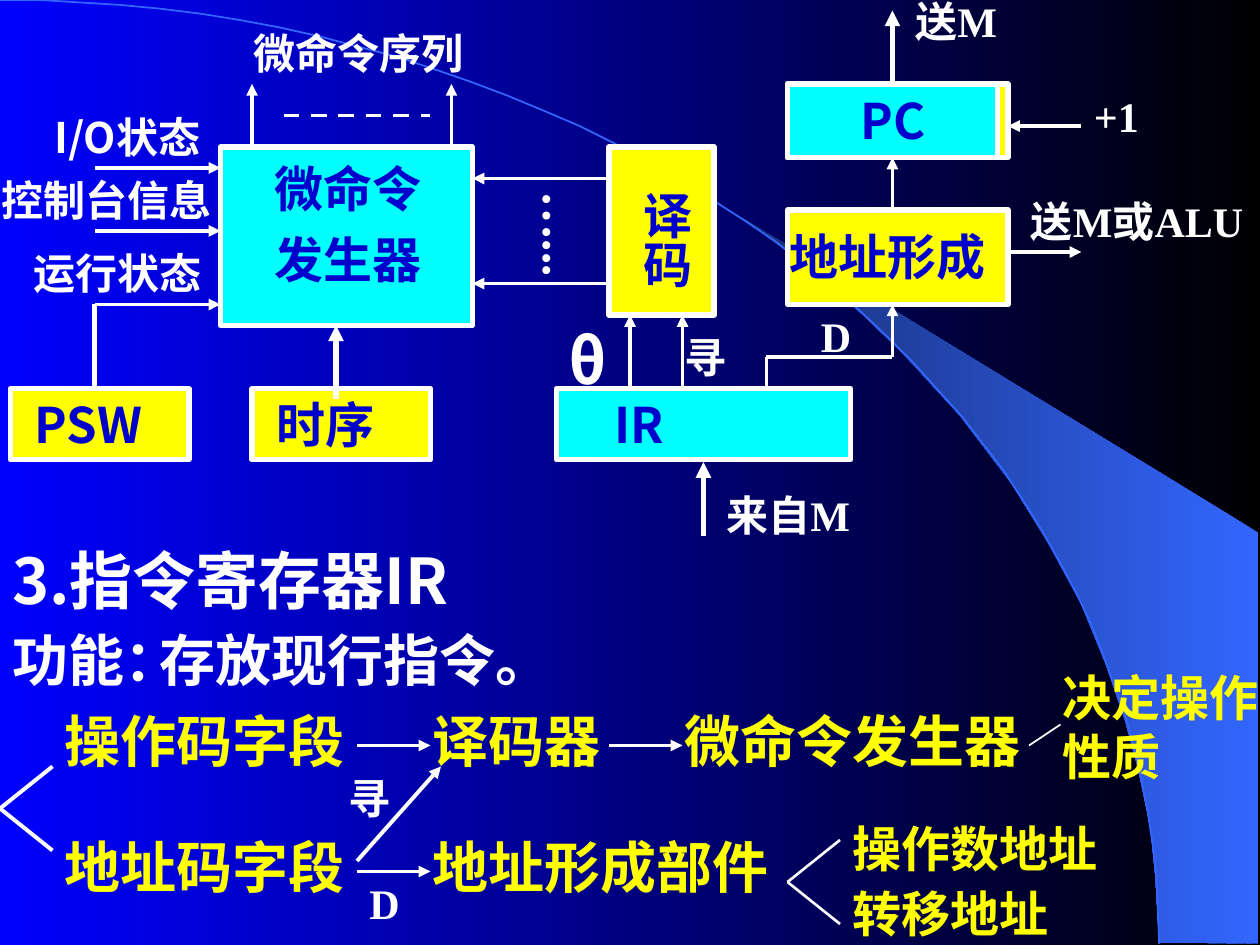
import math
from pptx import Presentation, util as u
from pptx.dml.color import RGBColor
from pptx.enum import dml, shapes, text
from pptx.oxml.ns import qn
from lxml import etree

WHITE = RGBColor(0xFF, 0xFF, 0xFF)
BLACK = RGBColor(0x00, 0x00, 0x00)
YELLOW = RGBColor(0xFF, 0xFF, 0x00)
CYAN = RGBColor(0x00, 0xFF, 0xFF)
INK = RGBColor(0x00, 0x00, 0xCC)
BLUE = RGBColor(0x00, 0x00, 0xFF)
SKY = RGBColor(0x33, 0x66, 0xFF)
NAVY = RGBColor(0x17, 0x2F, 0x75)
SANS, SERIF = "Noto Sans CJK SC", "Times New Roman"

deck = Presentation()
deck.slide_width, deck.slide_height = u.Inches(10), u.Inches(7.5)
page = deck.slides.add_slide(deck.slide_layouts[6])
CELL = deck.slide_width / 120
HUNDREDTH = deck.slide_width / 1000


def grid(*cells):
    return [u.Emu(round(cell * CELL)) for cell in cells]


def write(frame, words, size, face, color, spacing=None):
    frame.word_wrap = True
    frame.vertical_anchor = text.MSO_ANCHOR.TOP
    frame.text = words
    for number, para in enumerate(frame.paragraphs):
        para.alignment = text.PP_ALIGN.LEFT
        para.line_spacing = spacing
        if number:
            para.space_before = u.Pt(17.5)
        for span in para.runs:
            span.font.size, span.font.bold = u.Pt(size), True
            span.font.name = face
            span.font.color.rgb = color
            east = etree.SubElement(span.font._element, qn("a:ea"))
            east.set("typeface", SANS)


backdrop = page.background.fill
backdrop.gradient()
swoosh_points = [
    (920, 748), (999, 749), (999, 423), (589, 173), (624, 199), (653, 222),
    (685, 250), (716, 280), (762, 330), (803, 384), (832, 431), (858, 479),
    (878, 528), (893, 572), (903, 609), (913, 656), (917, 696),
]
builder = page.shapes.build_freeform(*swoosh_points[0], scale=HUNDREDTH)
builder.add_line_segments(swoosh_points[1:], close=True)
swoosh = builder.convert_to_shape()
swoosh.shadow.inherit = False
swoosh.line.fill.background()
swoosh.fill.gradient()
for fill, colors in ((backdrop, (BLACK, BLUE)), (swoosh.fill, (SKY, NAVY))):
    fill.gradient_angle = 180
    for stop, color, position in zip(fill.gradient_stops, colors, (0, 1)):
        stop.color.rgb = color
        stop.position = position

angles = [math.radians(degree) for degree in range(0, 91, 2)]
arc_points = [(920 * math.sin(a), 749 * (1 - math.cos(a))) for a in angles]
builder = page.shapes.build_freeform(0, 0, scale=HUNDREDTH)
builder.add_line_segments(arc_points[1:], close=False)
arc = builder.convert_to_shape()
arc.shadow.inherit = False
arc.fill.background()
arc.line.color.rgb = SKY
arc.line.width = u.Pt(1)

blocks = [
    (75, 8, 21, 7, YELLOW, "", 0),
    (75, 8, 20, 7, CYAN, "", 0),
    (75, 20, 21, 9, YELLOW, "", 0),
    (58, 14, 10, 16, YELLOW, "", 0),
    (21, 14, 24, 17, CYAN, "", 0),
    (1, 37, 17, 6.8, YELLOW, "PSW", 2.3),
    (24, 37, 17, 6.8, YELLOW, "时序", 2.3),
    (53, 37, 28, 6.8, CYAN, "IR", 5.5),
]
for left, top, width, height, color, words, indent in blocks:
    box = page.shapes.add_shape(shapes.MSO_SHAPE.RECTANGLE, *grid(left, top, width, height))
    box.shadow.inherit = False
    box.fill.solid()
    box.fill.fore_color.rgb = color
    box.line.color.rgb = WHITE
    box.line.width = u.Pt(3)
    if words:
        write(box.text_frame, words, 28, SANS, INK)
        box.text_frame.margin_left = grid(indent)[0]

arrows = [
    (24, 14, 24, 8), (43, 14, 43, 8),
    (9, 16, 21, 16), (9, 22, 21, 22), (9, 29, 21, 29),
    (58, 17, 45, 17), (58, 27, 45, 27),
    (85, 20, 85, 15), (65, 37, 65, 30), (60, 37, 60, 30),
    (103, 12, 96, 12), (85, 34, 85, 29), (96, 24, 103, 24),
    (34, 71, 41, 71), (58, 71, 65, 71), (34, 83, 41, 83), (34, 82, 42, 73),
]
bold_arrows = [(32, 38, 32, 31), (67, 51, 67, 44), (85, 8, 85, 1)]
plain = [(73, 34, 73, 37), (73, 34, 85, 34), (5, 73, 0, 77), (0, 77, 5, 81)]
line_groups = [
    (arrows, 2.25, True, None),
    (bold_arrows, 3, True, None),
    (plain, 2.25, False, None),
    ([(27, 11, 41, 11)], 2.25, False, dml.MSO_LINE.DASH),
    ([(9, 29, 9, 37)], 3, False, None),
    ([(80, 80, 75, 84), (75, 84, 80, 88)], 1.5, False, None),
    ([(98, 71, 101, 69)], 1, False, None),
]
for group, weight, pointed, dash in line_groups:
    for ends in group:
        link = page.shapes.add_connector(shapes.MSO_CONNECTOR.STRAIGHT, *grid(*ends))
        link.line.color.rgb = WHITE
        link.line.width = u.Pt(weight)
        if dash:
            link.line.dash_style = dash
        properties = link._element.spPr
        if pointed:
            tip = etree.SubElement(properties.find(qn("a:ln")), qn("a:tailEnd"))
            tip.set("type", "triangle")
        etree.SubElement(properties, qn("a:effectLst"))

labels = [
    (0, 51, 55, 8.4, "3.指令寄存器IR", 36, SANS, WHITE, None),
    (0, 59, 20, 7.7, "功能：", 32, SERIF, WHITE, None),
    (14, 59, 44, 7.7, "存放现行指令。", 32, SERIF, WHITE, None),
    (100, 63, 23, 12.5, "决定操作性质", 28, SANS, YELLOW, None),
    (5, 69, 32, 5, "操作码字段", 32, SERIF, YELLOW, 0.6),
    (40, 69, 22, 5, "译码器", 32, SERIF, YELLOW, 0.6),
    (64, 69, 39, 5, "微命令发生器", 32, SERIF, YELLOW, 0.6),
    (5, 81, 32, 5, "地址码字段", 32, SERIF, YELLOW, 0.6),
    (40, 81, 44, 5, "地址形成部件", 32, SERIF, YELLOW, 0.6),
    (80, 79.3, 35, 10.9, "操作数地址\n转移地址", 28, SERIF, YELLOW, 0.6),
    (25, 16, 17, 12, "微命令\n发生器", 28, SERIF, INK, 0.7),
    (80.8, 8, 14.2, 6.8, "PC", 28, SANS, INK, None),
    (74, 21, 27, 6.8, "地址形成", 28, SERIF, INK, None),
    (53, 30, 15, 8.4, "θ", 36, SANS, WHITE, None),
    (23, 2, 23, 6, "微命令序列", 24, SERIF, WHITE, None),
    (4, 10, 19, 6, "I/O状态", 24, SANS, WHITE, None),
    (-1, 16, 23, 6, "控制台信息", 24, SERIF, WHITE, None),
    (2, 23, 23, 6, "运行状态", 24, SERIF, WHITE, None),
    (77, 29, 13, 6, "D", 24, SERIF, WHITE, None),
    (64, 31, 13, 6, "寻", 24, SERIF, WHITE, None),
    (68, 46, 23, 6, "来自M", 24, SERIF, WHITE, None),
    (97, 18, 23, 10.8, "送M或ALU", 24, SERIF, WHITE, None),
    (103, 8, 13, 6, "+1", 24, SERIF, WHITE, None),
    (86, -1, 13, 6, "送M", 24, SERIF, WHITE, None),
    (32, 73, 10, 6, "寻", 24, SERIF, WHITE, None),
    (34, 83, 10, 6, "D", 24, SERIF, WHITE, None),
]
for left, top, width, height, *style in labels:
    box = page.shapes.add_textbox(*grid(left, top, width, height))
    write(box.text_frame, *style)

for left, words, color in ((59, "译码", INK), (49.1, "…...", WHITE)):
    box = page.shapes.add_textbox(*grid(left, 17, 7.9, 13))
    frame = box.text_frame
    write(frame, words, 28, SERIF, color)
    frame.margin_left = frame.margin_right = u.Inches(0.05)
    frame.margin_top = frame.margin_bottom = u.Inches(0.1)
    frame._txBody.bodyPr.set("vert", "eaVert")

deck.save("out.pptx")
